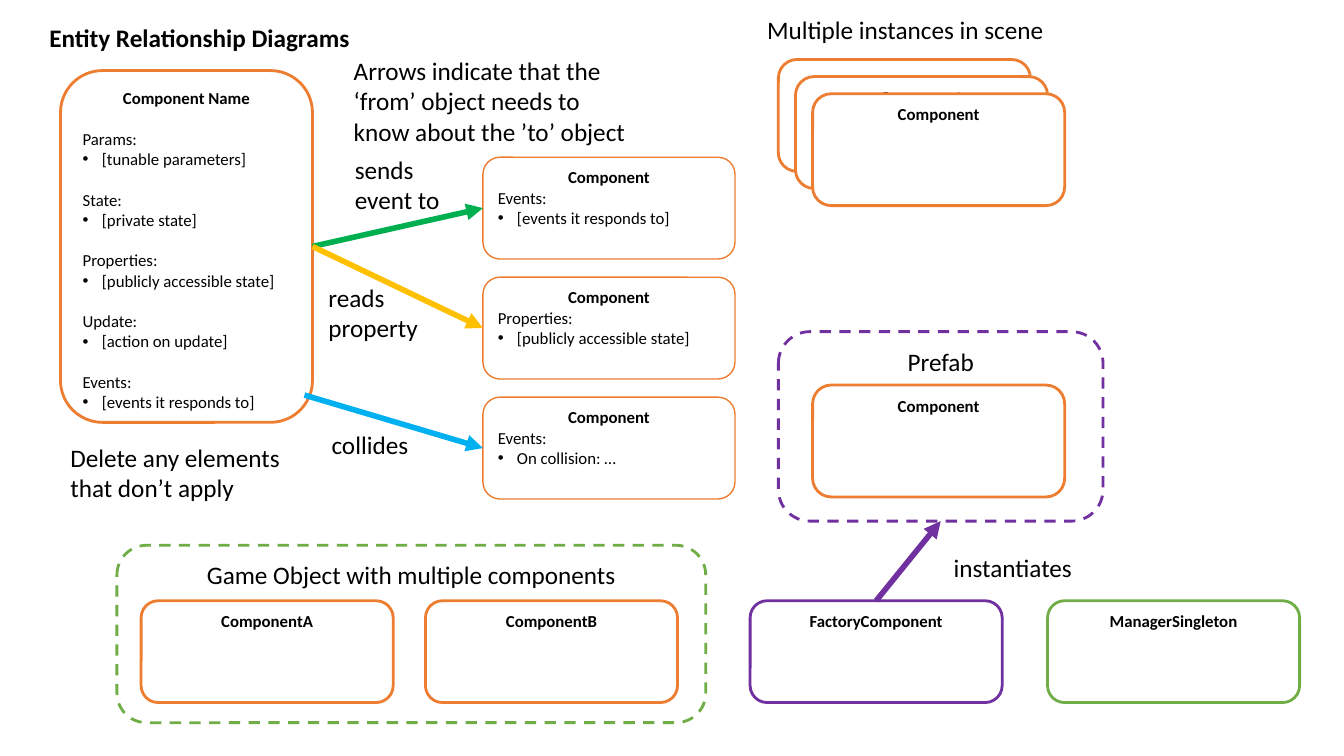
from lxml import etree
from pptx import Presentation
from pptx import util as u
from pptx.dml.color import RGBColor
from pptx.enum import dml, shapes, text
from pptx.oxml import ns

BLACK = RGBColor(0x00, 0x00, 0x00)
WHITE = RGBColor(0xFF, 0xFF, 0xFF)
ORANGE = RGBColor(0xED, 0x7D, 0x31)
PURPLE = RGBColor(0x70, 0x30, 0xA0)
LEAF = RGBColor(0x70, 0xAD, 0x47)
GREEN = RGBColor(0x00, 0xB0, 0x50)
YELLOW = RGBColor(0xFF, 0xC0, 0x00)
BLUE = RGBColor(0x00, 0xB0, 0xF0)

HEADING = dict(size=u.Pt(18), bold=False)
TITLE = dict(size=u.Pt(12), bold=True)
BODY = dict(size=u.Pt(12), bold=False)
LINE_GAP = u.Pt(14.65)
CARD_W, CARD_H, STACK_H = 2.5, 1.01, 1.11
TOP, LEFT, BOTTOM, RIGHT = range(4)


def add_run(p, words, formats):
    """Add a black Calibri run with the given font formats."""
    r = p.add_run()
    r.text = words
    r.font.name = "Calibri"
    r.font.color.rgb = BLACK
    for name, value in formats.items():
        setattr(r.font, name, value)


def add_bullet(p):
    """Give a paragraph a hanging bullet."""
    pPr = p._p.get_or_add_pPr()
    pPr.set("marL", str(u.Inches(0.19)))
    pPr.set("indent", str(u.Inches(-0.19)))
    etree.SubElement(pPr, ns.qn("a:buFont"), typeface="Arial")
    etree.SubElement(pPr, ns.qn("a:buChar"), char="•")


def rounded(s, box, title, color, formats=TITLE, width=2, dashed=False):
    """Draw a rounded box with a centred title at its top."""
    sp = s.shapes.add_shape(shapes.MSO_SHAPE.ROUNDED_RECTANGLE, *map(u.Inches, box))
    sp.shadow.inherit = False
    sp.line.color.rgb = color
    sp.line.width = u.Pt(width)
    if dashed:
        sp.fill.background()
        sp.line.dash_style = dml.MSO_LINE.DASH
    else:
        sp.fill.solid()
        sp.fill.fore_color.rgb = WHITE
    tf = sp.text_frame
    tf.word_wrap = True
    tf.vertical_anchor = text.MSO_ANCHOR.TOP
    p = tf.paragraphs[0]
    p.alignment = text.PP_ALIGN.CENTER
    add_run(p, title, formats)
    return sp


def add_sections(sp, sections, gap=0):
    """Add headed bullets below a box's title."""
    for name, item in sections:
        for words in (name + ":", item):
            p = sp.text_frame.add_paragraph()
            p.alignment = text.PP_ALIGN.LEFT
            if words == item:
                add_bullet(p)
            else:
                p.space_before = gap
            add_run(p, words, BODY)


def label(s, box, words, bold=False):
    """Write a free-standing 18 pt label, one paragraph per line."""
    tf = s.shapes.add_textbox(*map(u.Inches, box)).text_frame
    tf.word_wrap = False
    tf.auto_size = text.MSO_AUTO_SIZE.SHAPE_TO_FIT_TEXT
    for i, line in enumerate(words.split("\n")):
        p = tf.add_paragraph() if i else tf.paragraphs[0]
        add_run(p, line, dict(HEADING, bold=bold))


def arrow(s, target, color, source=None, start=(0, 0)):
    """Draw an arrow to a (shape, site) from another one or from a point."""
    x, y = map(u.Inches, start)
    con = s.shapes.add_connector(shapes.MSO_CONNECTOR.STRAIGHT, x, y, x, y)
    if source:
        con.begin_connect(*source)
    con.end_connect(*target)
    con.line.color.rgb = color
    con.line.width = u.Pt(4)
    etree.SubElement(con.line._get_or_add_ln(), ns.qn("a:tailEnd"), type="triangle")
    etree.SubElement(con._element.spPr, ns.qn("a:effectLst"))


def relationships(s, box):
    """Draw the full component and the three components it relates to."""
    x, y, w, h = box
    entity = rounded(s, (x, y, CARD_W, h), "Component Name", ORANGE)
    add_sections(entity, [
        ("Params", "[tunable parameters]"),
        ("State", "[private state]"),
        ("Properties", "[publicly accessible state]"),
        ("Update", "[action on update]"),
        ("Events", "[events it responds to]"),
    ], LINE_GAP)
    source = (entity, RIGHT)
    links = [
        ("Events", "[events it responds to]", GREEN, source),
        ("Properties", "[publicly accessible state]", YELLOW, source),
        ("Events", "On collision: …", BLUE, None),
    ]
    for i, (name, item, color, origin) in enumerate(links):
        card_box = (x + w - CARD_W, y + 0.86 + 1.19 * i, CARD_W, CARD_H)
        card = rounded(s, card_box, "Component", ORANGE, width=1)
        add_sections(card, [(name, item)])
        arrow(s, (card, LEFT), color, origin, (x + 2.42, y + 3.22))
    for dx, dy, lw, lh, words in [
        (2.82, 0.78, 1.05, 0.71, "sends\nevent to"),
        (2.56, 2.05, 1.1, 0.71, "reads\nproperty"),
        (2.59, 3.51, 0.97, 0.4, "collides"),
        (0, 3.64, 2.31, 0.71, "Delete any elements\nthat don’t apply"),
        (2.81, -0.2, 2.9, 1.01, "Arrows indicate that the\n‘from’ object needs to\n"
                                "know about the ’to’ object"),
    ]:
        label(s, (x + dx, y + dy, lw, lh), words)


def instances(s, box):
    """Stack three component cards under a heading."""
    x, y, w, h = box
    label(s, (x, y, w, 0.4), "Multiple instances in scene")
    for i in range(3):
        step = 0.17 * i
        rounded(s, (x + 0.21 + step, y + 0.5 + step, CARD_W, STACK_H), "Component", ORANGE)


def prefab(s, box):
    """Draw the dashed prefab frame around one component."""
    x, y, w, h = box
    frame = rounded(s, box, "Prefab", PURPLE, HEADING, dashed=True)
    rounded(s, (x + (w - CARD_W) / 2 - 0.02, y + 0.53, CARD_W, STACK_H), "Component", ORANGE)
    return frame


def game_object(s, box):
    """Draw the dashed game object frame around two components."""
    x, y, w, h = box
    rounded(s, box, "Game Object with multiple components", LEAF, HEADING, dashed=True)
    for i, title in enumerate(("ComponentA", "ComponentB")):
        rounded(s, (x + 0.24 + 2.82 * i, y + 0.55, CARD_W, CARD_H), title, ORANGE)


def managers(s, box, product):
    """Draw the factory, its arrow to the product, and the singleton."""
    x, y, w, h = box
    factory = rounded(s, (x, y, CARD_W, h), "FactoryComponent", PURPLE)
    rounded(s, (x + w - CARD_W, y, CARD_W, h), "ManagerSingleton", LEAF)
    arrow(s, (product, BOTTOM), PURPLE, (factory, TOP))
    label(s, (x + 1.92, y - 0.53, 1.39, 0.4), "instantiates")


prs = Presentation()
prs.slide_width, prs.slide_height = u.Inches(13.33), u.Inches(7.5)
s = prs.slides.add_slide(prs.slide_layouts[6])
label(s, (0.39, 0.17, 3.21, 0.4), "Entity Relationship Diagrams", bold=True)
relationships(s, (0.6, 0.7, 6.69, 3.49))
instances(s, (7.51, 0.09, 2.98, 1.94))
frame = prefab(s, (7.72, 3.29, 3.22, 1.88))
game_object(s, (1.16, 5.41, 5.84, 1.76))
managers(s, (7.44, 5.96, 5.45, CARD_H), frame)
prs.save("out.pptx")
